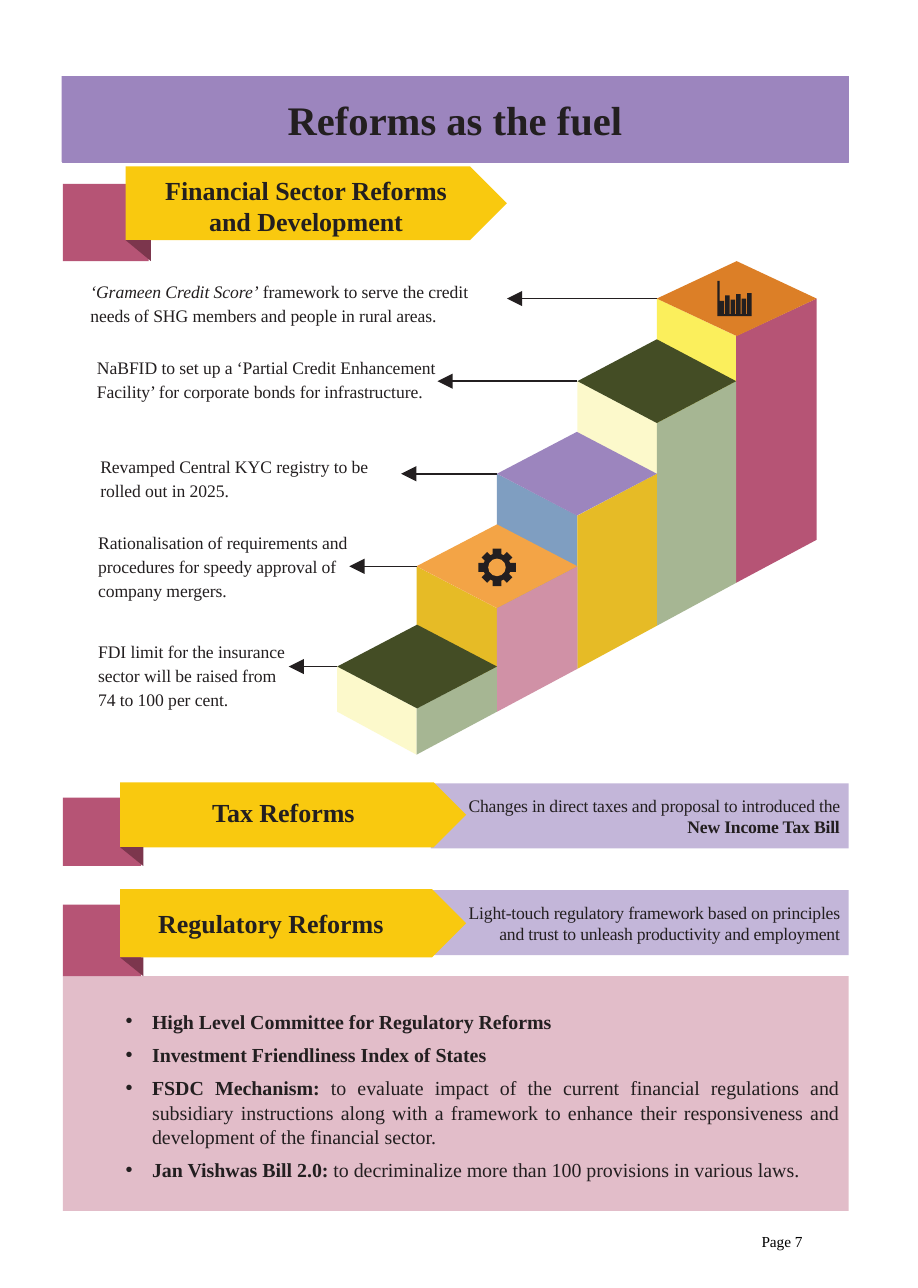
from math import cos, pi, sin

from lxml import etree
from pptx import Presentation
from pptx import util as u
from pptx.dml.color import RGBColor
from pptx.enum import shapes, text
from pptx.oxml import ns

PX = 9144  # EMU per px, 100 px to the inch
FONT = "Times New Roman"
INK, PURPLE, LILAC, YELLOW = "231F20", "9C85BE", "C3B6D9", "F9C90F"
MAROON, FOLD, ROSE = "B65475", "7C364D", "E2BDC9"
CREAM, SAGE, OLIVE, GOLD, ORANGE = "FCF9CB", "A6B693", "444D25", "E6BB26", "F3A446"
BOLD, ITALIC = {"bold": True}, {"italic": True}


def hue(code):
    return RGBColor.from_string(code)


def paint(box, code, line=None):
    box.fill.solid()
    box.fill.fore_color.rgb = hue(code)
    if line:
        box.line.color.rgb = hue(line)
        box.line.width = u.Pt(0.25)
    else:
        box.line.fill.background()
    box.shadow.inherit = False
    return box


def add_block(page, kind, left, top, width, height, code):
    return paint(page.shapes.add_shape(kind, left * PX, top * PX, width * PX, height * PX), code)


def add_outline(page, points, code):
    builder = page.shapes.build_freeform(*points[0], scale=PX)
    builder.add_line_segments(points[1:], close=True)
    return paint(builder.convert_to_shape(), code)


def write(box, paras, size, insets=(0, 0, 0, 0), anchor=text.MSO_ANCHOR.TOP,
          color=INK, spacing=-10, **layout):
    """Each paragraph is a list of (wording, format) spans."""
    frame = box.text_frame
    frame.word_wrap = True
    frame.auto_size = text.MSO_AUTO_SIZE.NONE
    frame.vertical_anchor = anchor
    for side, inset in zip(("left", "top", "right", "bottom"), insets):
        setattr(frame, "margin_" + side, inset * PX)
    for index, spans in enumerate(paras):
        para = frame.add_paragraph() if index else frame.paragraphs[0]
        for name, value in ({"space_before": u.Pt(0)} | layout).items():
            setattr(para, name, value)
        for wording, extra in spans:
            span = para.add_run()
            span.text = wording
            span.font.color.rgb = hue(color)
            span._r.get_or_add_rPr().set("spc", str(spacing))
            style = {"name": FONT, "size": u.Pt(size), "bold": False} | extra
            for name, value in style.items():
                setattr(span.font, name, value)
    return frame.paragraphs


def add_text(page, left, top, width, height, paras, size, **options):
    box = page.shapes.add_textbox(left * PX, top * PX, width * PX, height * PX)
    write(box, paras, size, **options)


def place(box, left, top, width, height):
    for name, value in zip(("left", "top", "width", "height"), (left, top, width, height)):
        setattr(box, name, value * PX)


def title_bar(page, *area):
    box = page.shapes.title
    place(box, *area)
    paint(box, PURPLE, PURPLE)
    write(box, [[("Reforms as the fuel", BOLD)]], 26.5, anchor=text.MSO_ANCHOR.MIDDLE,
          spacing=0, alignment=text.PP_ALIGN.CENTER)


def banner(page, left, top, width, height, heading, insets):
    """Folded ribbon: tail behind, pointed band in front, dark fold below."""
    lip, drop = round(width * 0.142), round(width * 0.047)
    band_left, band_height = left + lip, height - drop
    fold_top, fold_right = top + band_height, band_left + round(width * 0.058)
    add_block(page, shapes.MSO_SHAPE.RECTANGLE, left, top + drop - 3,
              round(width * 0.194), height - drop + 3, MAROON)
    band = add_block(page, shapes.MSO_SHAPE.PENTAGON, band_left, top,
                     width - lip, band_height, YELLOW)
    band.adjustments[0] = 0.5
    write(band, [[(heading, BOLD)]], 17, insets, text.MSO_ANCHOR.MIDDLE,
          spacing=-5, alignment=text.PP_ALIGN.CENTER)
    add_outline(page, [(band_left, fold_top), (fold_right, fold_top),
                       (fold_right, top + height)], FOLD)


def summary(page, left, top, width, height, paras):
    box = add_block(page, shapes.MSO_SHAPE.RECTANGLE, left, top, width, height, LILAC)
    write(box, paras, 11.5, (20, 0, 8, 0), text.MSO_ANCHOR.MIDDLE, spacing=-15,
          alignment=text.PP_ALIGN.RIGHT, line_spacing=u.Pt(13.8))


def chart_icon(page, left, top):
    base = top + 30
    points = [(left, top), (left + 2, top)]
    for index, bar_top in enumerate((18, 13, 17, 12, 16, 11)):
        x, y = left + 2 + 5 * index, top + bar_top
        points += [(x, base), (x, y), (x + 4, y), (x + 4, base)]
    add_outline(page, points + [(points[-1][0], base + 2), (left, base + 2)], INK)


def gear_icon(page, x, y, hole_color):
    points = []
    for tooth in range(8):
        for shift, radius in ((-0.3, 13), (-0.22, 17), (0.22, 17), (0.3, 13)):
            angle = tooth * pi / 4 + shift
            points.append((round(x + radius * cos(angle), 2), round(y + radius * sin(angle), 2)))
    add_outline(page, points, INK)
    add_block(page, shapes.MSO_SHAPE.OVAL, x - 8, y - 8, 16, 16, hole_color)


def add_arrow(page, tile, tip, level):
    arrow = page.shapes.add_connector(shapes.MSO_CONNECTOR.STRAIGHT, tile.left, level * PX,
                                      tip * PX, level * PX)
    arrow.begin_connect(tile, 1)
    arrow.line.color.rgb = hue(INK)
    arrow.line.width = u.Pt(1)
    etree.SubElement(arrow.line._get_or_add_ln(), ns.qn("a:tailEnd"),
                     type="triangle", w="lg", len="lg")
    etree.SubElement(arrow._element.spPr, ns.qn("a:effectLst"))


def staircase(page, left, bottom):
    """Five prisms, drawn from the rear one to the front one."""
    # middle of top tile, half its height, tile, left face, right face, arrow tip
    steps = [(605, 38, OLIVE, CREAM, SAGE, 262),
             (514, 38, ORANGE, GOLD, "D091A6", 317),
             (430, 38, PURPLE, "7F9EC1", GOLD, 364),
             (346, 38, OLIVE, CREAM, SAGE, 397),
             (271, 34, "DC7F27", "FBEF5C", MAROON, 460)]
    edges = [left + round(72.5 * index) for index in range(7)]
    for index in reversed(range(5)):
        level, half, top_color, left_color, right_color, tip = steps[index]
        west, centre, east = edges[index:index + 3]
        foot = bottom - 39 * index
        for side, code in ((west, left_color), (east, right_color)):
            add_outline(page, [(side, level), (centre, level + half),
                               (centre, foot), (side, foot - 39)], code)
        tile = add_block(page, shapes.MSO_SHAPE.DIAMOND, west, level - half,
                         east - west, 2 * half, top_color)
        add_arrow(page, tile, tip, level)
    gear_icon(page, edges[2], 515, ORANGE)
    chart_icon(page, 651, 255)


def step_labels(page):
    labels = [
        (82, 252, 350, 48, [("‘Grameen Credit Score’", ITALIC),
                            (" framework to serve the credit needs of SHG members "
                             "and people in rural areas.", {})]),
        (88, 321, 315, 48, [("NaBFID to set up a ‘Partial Credit Enhancement Facility’ for "
                             "corporate bonds for infrastructure.", {})]),
        (91, 411, 255, 48, [("Revamped Central KYC registry to be rolled out in 2025.", {})]),
        (89, 480, 232, 70, [("Rationalisation of requirements and procedures for speedy "
                             "approval of company mergers.", {})]),
        (89, 579, 175, 70, [("FDI limit for the insurance sector will be raised from "
                             "74 to 100 per cent.", {})])]
    for *area, spans in labels:
        add_text(page, *area, [spans], 11.5, spacing=-5, line_spacing=1.14)


def reform_list(page, *area):
    box = page.placeholders[1]
    place(box, *area)
    paint(box, ROSE)
    items = [
        [("High Level Committee for Regulatory Reforms", BOLD)],
        [("Investment Friendliness Index of States", BOLD)],
        [("FSDC Mechanism:", BOLD),
         (" to evaluate impact of the current financial regulations and subsidiary "
          "instructions along with a framework to enhance their responsiveness and "
          "development of the financial sector.", {})],
        [("Jan Vishwas Bill 2.0:", BOLD),
         (" to decriminalize more than 100 provisions in various laws.", {})]]
    paras = write(box, items, 13, (0, 30, 9, 0), spacing=0, alignment=text.PP_ALIGN.JUSTIFY)
    for index, para in enumerate(paras):
        para.space_before = u.Pt(6 if index else 0)
        para.line_spacing = 1.02 if index == 2 else 1.0
        for name, value in (("marL", 81), ("indent", -24)):
            para._p.get_or_add_pPr().set(name, str(value * PX))


def main():
    deck = Presentation()
    deck.slide_width, deck.slide_height = 833 * PX, 1169 * PX
    page = deck.slides.add_slide(deck.slide_layouts[1])

    # Heading and financial sector
    title_bar(page, 56, 69, 714, 78)
    banner(page, 57, 151, 403, 86, "Financial Sector Reforms and Development", (25, 5, 27, 0))
    staircase(page, 306, 685)
    step_labels(page)

    # Tax and regulatory reforms
    summary(page, 391, 711, 379, 59, [
        [("Changes in direct taxes and proposal to introduced the ", {}),
         ("New Income Tax Bill", BOLD)]])
    banner(page, 57, 710, 366, 76, "Tax Reforms", (0, 0, 3, 5))
    summary(page, 391, 808, 379, 59, [
        [("Light-touch regulatory framework based on principles "
          "and trust to unleash productivity and employment", {})]])
    banner(page, 57, 807, 366, 79, "Regulatory Reforms", (0, 0, 25, 0))
    reform_list(page, 57, 886, 713, 213)

    # Page number
    add_text(page, 691, 1118, 55, 18, [[("Page 7", {})]], 10, color="000000", spacing=0)
    deck.save("out.pptx")


if __name__ == "__main__":
    main()
